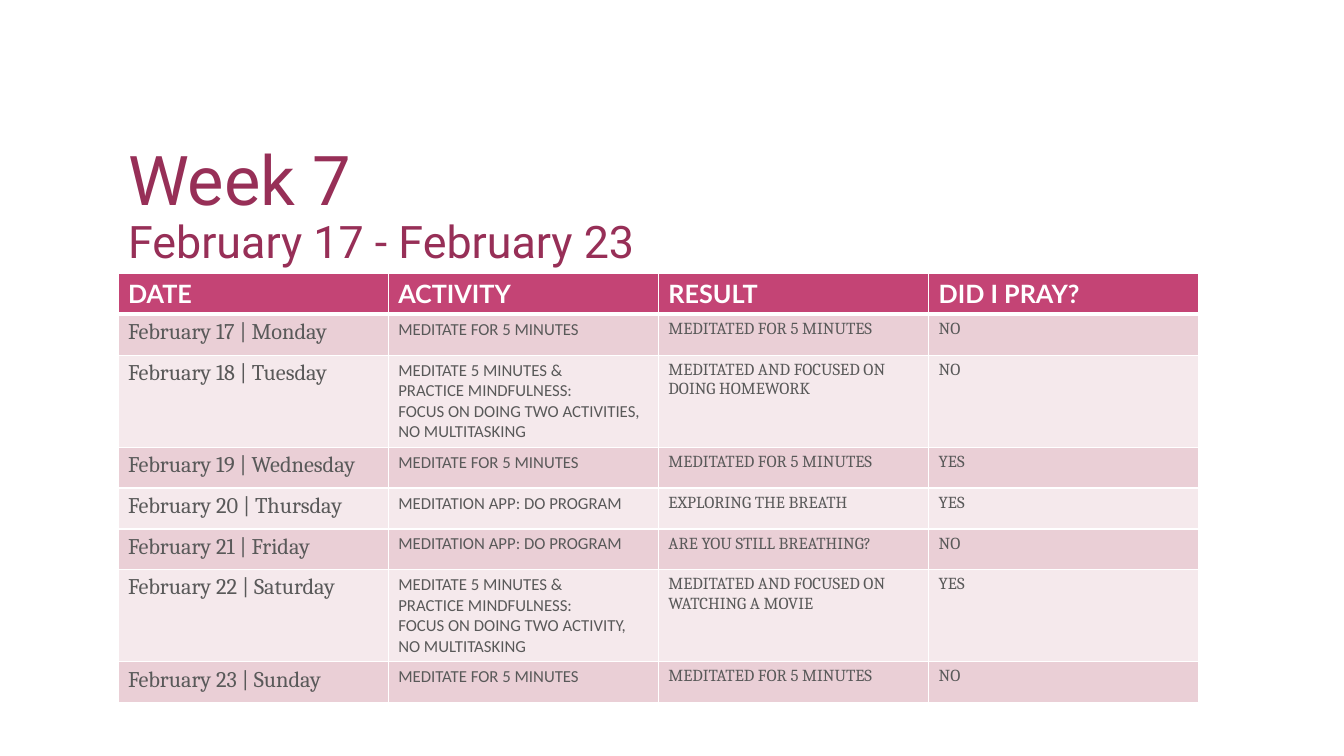
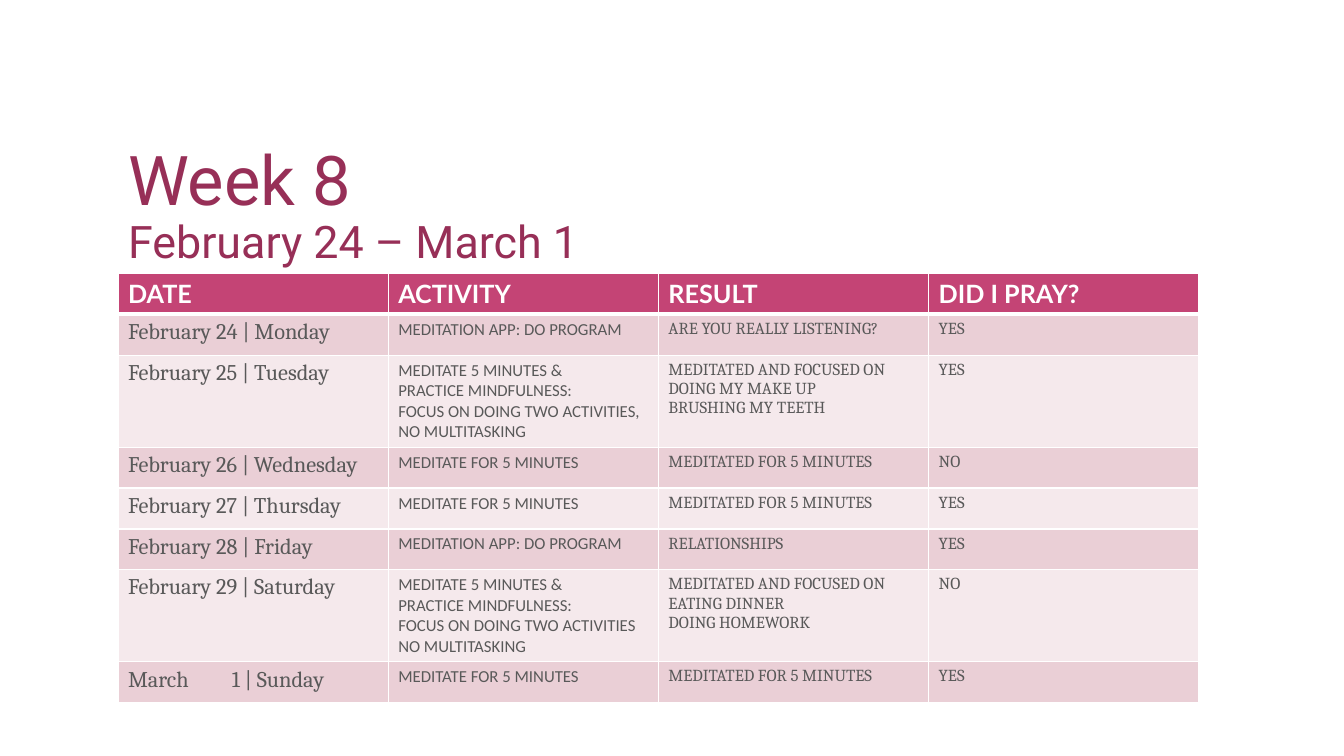
"""Build two weekly meditation log slides, each a title over a seven-day table."""
from lxml import etree
from pptx import Presentation
from pptx import util as u
from pptx.dml.color import RGBColor
from pptx.enum import text
from pptx.oxml import ns

HEADINGS = ("DATE", "ACTIVITY", "RESULT", "DID I PRAY?")
WEEKDAYS = ("Monday", "Tuesday", "Wednesday", "Thursday", "Friday", "Saturday", "Sunday")
MEDITATE = "MEDITATE FOR 5 MINUTES"
MEDITATED = "MEDITATED FOR 5 MINUTES"
PROGRAM = "MEDITATION APP: DO PROGRAM"
MINDFUL = "MEDITATE 5 MINUTES &\nPRACTICE MINDFULNESS:\nFOCUS ON DOING TWO "
FOCUSED = "MEDITATED AND FOCUSED ON "

WEEKS = (
    ("Week 7", "February 17 - February 23", (
        ("February 17", MEDITATE, MEDITATED, "NO"),
        ("February 18", MINDFUL + "ACTIVITIES, NO MULTITASKING", FOCUSED + "DOING HOMEWORK", "NO"),
        ("February 19", MEDITATE, MEDITATED, "YES"),
        ("February 20", PROGRAM, "EXPLORING THE BREATH", "YES"),
        ("February 21", PROGRAM, "ARE YOU STILL BREATHING?", "NO"),
        ("February 22", MINDFUL + "ACTIVITY, NO MULTITASKING", FOCUSED + "WATCHING A MOVIE", "YES"),
        ("February 23", MEDITATE, MEDITATED, "NO"),
    )),
    ("Week 8", "February 24 – March 1", (
        ("February 24", PROGRAM, "ARE YOU REALLY LISTENING?", "YES"),
        ("February 25", MINDFUL + "ACTIVITIES, NO MULTITASKING",
         FOCUSED + "DOING MY MAKE UP\nBRUSHING MY TEETH", "YES"),
        ("February 26", MEDITATE, MEDITATED, "NO"),
        ("February 27", MEDITATE, MEDITATED, "YES"),
        ("February 28", PROGRAM, "RELATIONSHIPS", "YES"),
        ("February 29", MINDFUL + "ACTIVITIES NO MULTITASKING",
         FOCUSED + "EATING DINNER\nDOING HOMEWORK", "NO"),
        ("March\t1", MEDITATE, MEDITATED, "YES"),
    )),
)


def color(value):
    return RGBColor.from_string(value)


def write(paragraph, words, font="Cambria", size=12, ink="595959", bold=False):
    run = paragraph.add_run()
    run.text = words
    run.font.name, run.font.size, run.font.bold = font, u.Pt(size), bold
    run.font.color.rgb = color(ink)


class WeekDeck:
    LEFT, TOP = u.Inches(1.17), u.Inches(1.09)
    COLUMN, ROW = u.Inches(2.68), u.Pt(29.2)
    TITLE_ROWS, TALL_ROWS = 4, 2.25
    TAB = u.Inches(1.03)
    WHITE, HEADER, TITLE = "FFFFFF", "C44475", "972F57"
    BANDS = ("EACFD6", "F5E9EC")
    COLUMN_STYLES = ({"size": 16}, {"font": "Calibri"}, {}, {})

    def __init__(self):
        self.deck = Presentation()
        self.deck.slide_width, self.deck.slide_height = u.Inches(13.33), u.Inches(7.5)
        self.slide = None

    def place(self, column, row, columns, rows):
        return (int(self.LEFT + column * self.COLUMN), int(self.TOP + row * self.ROW),
                int(columns * self.COLUMN), int(rows * self.ROW))

    def add_slide(self):
        self.slide = self.deck.slides.add_slide(self.deck.slide_layouts[5])

    def title(self, week, dates):
        heading = self.slide.shapes.title
        heading.left, heading.top, heading.width, heading.height = self.place(
            0, 0, 2.24, self.TITLE_ROWS)
        frame = heading.text_frame
        frame.auto_size = text.MSO_AUTO_SIZE.NONE
        frame.vertical_anchor = text.MSO_ANCHOR.BOTTOM
        paragraph = frame.paragraphs[0]
        paragraph.alignment = text.PP_ALIGN.LEFT
        paragraph.line_spacing = 0.9
        write(paragraph, week, font="Roboto", size=49, ink=self.TITLE)
        paragraph.add_line_break()
        write(paragraph, dates, font="Roboto", size=32, ink=self.TITLE)

    def borders(self, cell, bottom):
        properties = cell._tc.get_or_add_tcPr()
        for index, (side, width) in enumerate((("L", 1), ("R", 1), ("T", 1), ("B", bottom))):
            line = etree.Element(ns.qn(f"a:ln{side}"), w=str(u.Pt(width)))
            fill = etree.SubElement(line, ns.qn("a:solidFill"))
            etree.SubElement(fill, ns.qn("a:srgbClr"), val=self.WHITE)
            properties.insert(index, line)

    def tab_stop(self, paragraph):
        stops = etree.SubElement(paragraph._p.get_or_add_pPr(), ns.qn("a:tabLst"))
        etree.SubElement(stops, ns.qn("a:tab"), pos=str(self.TAB), algn="l")

    def cell(self, cell, words, fill, bottom=1, **style):
        cell.fill.solid()
        cell.fill.fore_color.rgb = color(fill)
        self.borders(cell, bottom)
        for index, line in enumerate(words.split("\n")):
            frame = cell.text_frame
            paragraph = frame.add_paragraph() if index else frame.paragraphs[0]
            if "\t" in line:
                self.tab_stop(paragraph)
            write(paragraph, line, **style)

    def log(self, days):
        heights = [1] + [self.TALL_ROWS if "\n" in day[1] else 1 for day in days]
        area = self.place(0, self.TITLE_ROWS, len(HEADINGS), sum(heights))
        table = self.slide.shapes.add_table(len(heights), len(HEADINGS), *area).table
        for row, height in zip(table.rows, heights):
            row.height = int(height * self.ROW)
        for column, heading in enumerate(HEADINGS):
            self.cell(table.cell(0, column), heading, self.HEADER, bottom=3,
                      font="Lato", size=18, ink=self.WHITE, bold=True)
        for index, ((date, *entries), weekday) in enumerate(zip(days, WEEKDAYS)):
            for column, words in enumerate((f"{date} | {weekday}", *entries)):
                self.cell(table.cell(index + 1, column), words, self.BANDS[index % 2],
                          **self.COLUMN_STYLES[column])


def main():
    weeks = WeekDeck()
    for week, dates, days in WEEKS:
        weeks.add_slide()
        weeks.title(week, dates)
        weeks.log(days)
    weeks.deck.save("out.pptx")


if __name__ == "__main__":
    main()
